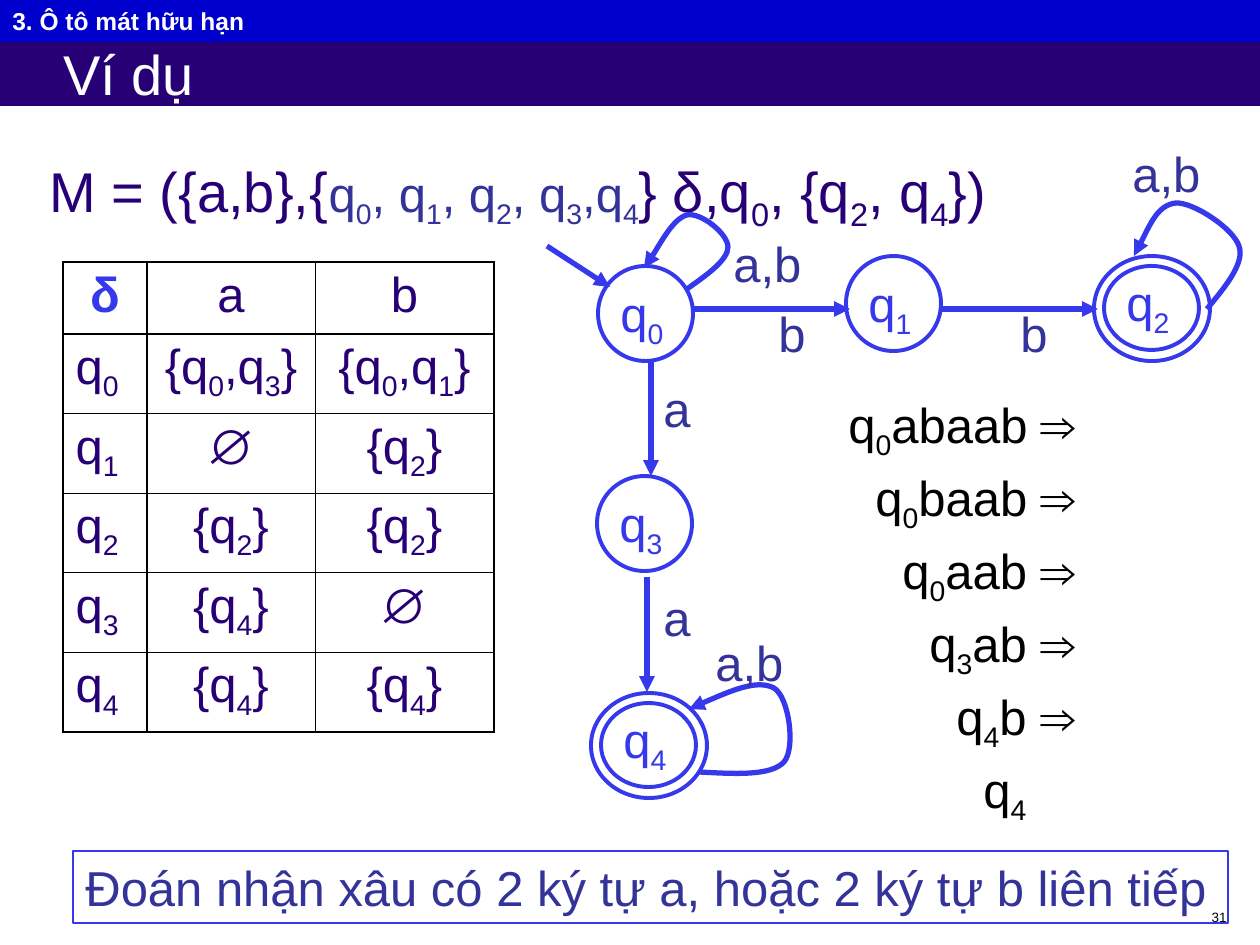
import pptx
import pptx.util
import pptx.dml.color
import pptx.enum.shapes
import pptx.enum.text
import pptx.oxml
import pptx.oxml.ns
from lxml import etree

RGB = pptx.dml.color.RGBColor
SHAPE = pptx.enum.shapes.MSO_SHAPE
ALIGN = pptx.enum.text.PP_ALIGN
ANCHOR = pptx.enum.text.MSO_ANCHOR
qn = pptx.oxml.ns.qn

SCALE = 914400 / 126
NAVY = RGB(0x27, 0x00, 0x76)
BLUE = RGB(0x00, 0x00, 0xCC)
BRIGHT = RGB(0x35, 0x39, 0xEB)
INDIGO = RGB(0x33, 0x33, 0x99)
BLACK = RGB(0, 0, 0)
WHITE = RGB(0xFF, 0xFF, 0xFF)
THIN, THICK = 0.45, 1.08

ROWS = [
    ["δ", "a", "b"],
    ["q_0", "{q_0,q_3}", "{q_0,q_1}"],
    ["q_1", "∅", "{q_2}"],
    ["q_2", "{q_2}", "{q_2}"],
    ["q_3", "{q_4}", "∅"],
    ["q_4", "{q_4}", "{q_4}"],
]
STATES = [
    ("q_0", 598, 266, False), ("q_1", 846, 256, False),
    ("q_2", 1104, 266, True), ("q_3", 597, 476, False),
    ("q_4", 601, 703, True),
]
ARROWS = [
    (547, 246, 610, 287), (693, 309, 850, 309), (941, 309, 1098, 309),
    (651, 361, 651, 476), (647, 577, 647, 692),
]
LOOPS = [
    [(687, 289), (707, 275), (728, 260), (728, 247), (728, 234),
     (701, 212), (687, 215), (673, 219), (651, 260), (644, 268)],
    [(1207, 309), (1226, 286), (1245, 263), (1239, 246), (1233, 228),
     (1193, 202), (1176, 203), (1158, 205), (1147, 231), (1134, 256)],
    [(699, 772), (736, 774), (771, 776), (784, 762), (796, 748),
     (789, 697), (774, 688), (757, 679), (723, 694), (689, 709)],
]
LABELS = [
    ("a,b", 1120, 137), ("a,b", 721, 227), ("a,b", 703, 626),
    ("b", 766, 297), ("b", 1008, 297), ("a", 651, 372), ("a", 651, 581),
]
STEPS = ["q_0abaab ⇒", "q_0baab ⇒", "q_0aab ⇒", "q_3ab ⇒", "q_4b ⇒", "q_4"]


def px(num):
    return pptx.util.Emu(round(num * SCALE))


def write(par, text, size=28, color=INDIGO, bold=False, align=ALIGN.LEFT):
    """Add runs to a paragraph; the character after each _ is a subscript."""
    par.alignment = align
    head, *tails = text.split("_")
    parts = [(head, False)]
    for tail in tails:
        parts += [(tail[0], True), (tail[1:], False)]
    for part, low in parts:
        if not part:
            continue
        run = par.add_run()
        run.text = part
        font = run.font
        font.name, font.size, font.bold = "Arial", pptx.util.Pt(size), bold
        font.color.rgb = color
        if low:
            run._r.get_or_add_rPr().set("baseline", "-25000")


def place(shape, x, y, wide, high):
    shape.left, shape.top, shape.width, shape.height = map(px, (x, y, wide, high))


def add_text(slide, text, x, y, wide, high, **style):
    frame = slide.shapes.add_textbox(*map(px, (x, y, wide, high))).text_frame
    frame.word_wrap = True
    write(frame.paragraphs[0], text, **style)
    return frame


def add_shape(slide, kind, x, y, wide, high, fill=None, line=None, width=2.25):
    shape = slide.shapes.add_shape(kind, *map(px, (x, y, wide, high)))
    shape.shadow.inherit = False
    if fill is None:
        shape.fill.background()
    else:
        shape.fill.solid()
        shape.fill.fore_color.rgb = fill
    if line is None:
        shape.line.fill.background()
    else:
        shape.line.color.rgb = line
        shape.line.width = pptx.util.Pt(width)
    frame = shape.text_frame
    frame.word_wrap = True
    frame.vertical_anchor = ANCHOR.TOP
    return frame


def point(shape):
    """Give an edge its line and its arrowhead."""
    shape.line.color.rgb = BRIGHT
    shape.line.width = pptx.util.Pt(3)
    etree.SubElement(shape.line._get_or_add_ln(), qn("a:tailEnd"), type="triangle")


def add_arrow(slide, *ends):
    kind = pptx.enum.shapes.MSO_CONNECTOR.STRAIGHT
    edge = slide.shapes.add_connector(kind, *map(px, ends))
    point(edge)
    etree.SubElement(edge._element.spPr, qn("a:effectLst"))


def add_loop(slide, points):
    """Draw a curved edge; each three points after the first make one Bézier."""
    form = slide.shapes.build_freeform(*points[0], scale=SCALE)
    form.add_line_segments(points[1:], close=False)
    loop = form.convert_to_shape()
    loop.shadow.inherit = False
    loop.fill.background()
    point(loop)
    lines = list(loop._element.iter(qn("a:lnTo")))
    for num in range(0, len(lines), 3):
        curve = etree.Element(qn("a:cubicBezTo"))
        lines[num].addprevious(curve)
        for line in lines[num:num + 3]:
            curve.append(line[0])
            line.getparent().remove(line)


def add_state(slide, name, x, y, final):
    high = 84 if final else 95
    if final:
        add_shape(slide, SHAPE.OVAL, x - 10, y - 10, 116, 105, line=BRIGHT)
    add_shape(slide, SHAPE.OVAL, x, y, 95, high, line=BRIGHT)
    add_text(slide, name, x + 10, y + (0 if final else 11), 95, 79, color=BRIGHT)


def add_border(cell, sides):
    props = cell._tc.get_or_add_tcPr()
    for side, width in sides.items():
        line = etree.SubElement(props, qn("a:ln" + side), w=str(pptx.util.Pt(width)))
        fill = etree.SubElement(line, qn("a:solidFill"))
        etree.SubElement(fill, qn("a:srgbClr"), val=str(BLACK))


def add_table(slide):
    table = slide.shapes.add_table(6, 3, *map(px, (63, 262, 431, 470))).table
    table.first_row = table.horz_banding = False
    for col, wide in zip(table.columns, (84, 168, 179)):
        col.width = px(wide)
    across = [THICK, THICK, THIN, THIN, THIN, THIN, THICK]
    down = [THICK, THICK, THIN, THICK]
    for r, texts in enumerate(ROWS):
        table.rows[r].height = px(79 if r else 72)
        for c, text in enumerate(texts):
            cell = table.cell(r, c)
            add_border(cell, {"L": down[c], "R": down[c + 1],
                              "T": across[r], "B": across[r + 1]})
            cell.fill.background()
            corner = r == c == 0
            write(cell.text_frame.paragraphs[0], text, bold=corner,
                  color=BRIGHT if corner else NAVY,
                  align=ALIGN.LEFT if r and not c else ALIGN.CENTER)


def add_heads(slide):
    title, body = slide.placeholders
    place(title, 0, 41, 1260, 65)
    title.fill.solid()
    title.fill.fore_color.rgb = NAVY
    frame = title.text_frame
    frame.vertical_anchor = ANCHOR.MIDDLE
    frame.margin_left, frame.margin_top, frame.margin_bottom = px(63), 0, 0
    write(frame.paragraphs[0], "Ví dụ", size=32, color=WHITE)

    place(body, 37, 136, 1139, 116)
    frame = body.text_frame
    frame.auto_size = pptx.enum.text.MSO_AUTO_SIZE.NONE
    frame.margin_top = px(20)
    par = frame.paragraphs[0]
    props = par._p.get_or_add_pPr()
    props.set("marL", "0")
    props.set("indent", "0")
    etree.SubElement(props, qn("a:buNone"))
    par.space_before = pptx.util.Pt(0)
    write(par, "M = ({a,b},{", size=32, color=NAVY)
    write(par, "q_0, q_1, q_2, q_3,q_4")
    write(par, "} δ,q_0, {q_2, q_4})", size=32, color=NAVY)

    bar = add_shape(slide, SHAPE.RECTANGLE, 0, 0, 1260, 42, fill=BLUE)
    write(bar.paragraphs[0], "3. Ô tô mát hữu hạn", size=14, color=WHITE, bold=True)


def add_steps(slide):
    """Write the derivation, each line one step further in."""
    frame = slide.shapes.add_textbox(*map(px, (809, 388, 410, 445))).text_frame
    frame.word_wrap = True
    for num, text in enumerate(STEPS):
        par = frame.add_paragraph() if num else frame.paragraphs[0]
        par._p.get_or_add_pPr().set("marL", str(px(27 * (num + 1))))
        if num:
            par.space_before = pptx.util.Pt(3.5)
        write(par, text, color=BLACK)


def main():
    deck = pptx.Presentation()
    deck.slide_width, deck.slide_height = px(1260), px(945)
    slide = deck.slides.add_slide(deck.slide_layouts[1])
    add_heads(slide)
    add_text(slide, "31", 977, 903, 262, 30, size=7.7, color=BLACK, align=ALIGN.RIGHT)
    add_table(slide)
    note = add_shape(slide, SHAPE.RECTANGLE, 73, 851, 1155, 72, line=BRIGHT, width=0.75)
    write(note.paragraphs[0], "Đoán nhận xâu có 2 ký tự a, hoặc 2 ký tự b liên tiếp")
    for state in STATES:
        add_state(slide, *state)
    for ends in ARROWS:
        add_arrow(slide, *ends)
    for points in LOOPS:
        add_loop(slide, points)
    for text, x, y in LABELS:
        add_text(slide, text, x, y, 105 if "," in text else 44, 72)
    add_steps(slide)
    deck.save("out.pptx")


if __name__ == "__main__":
    main()
